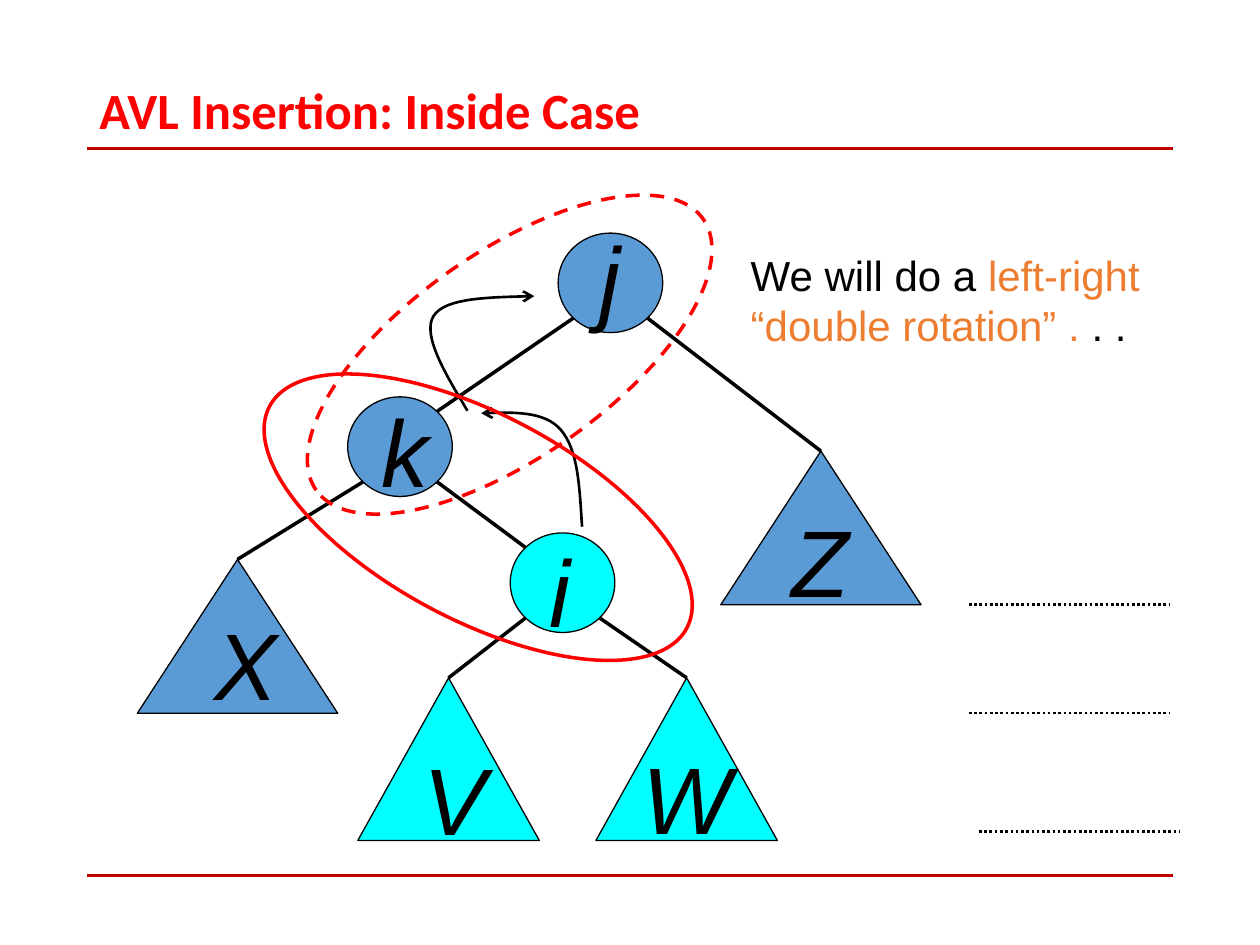
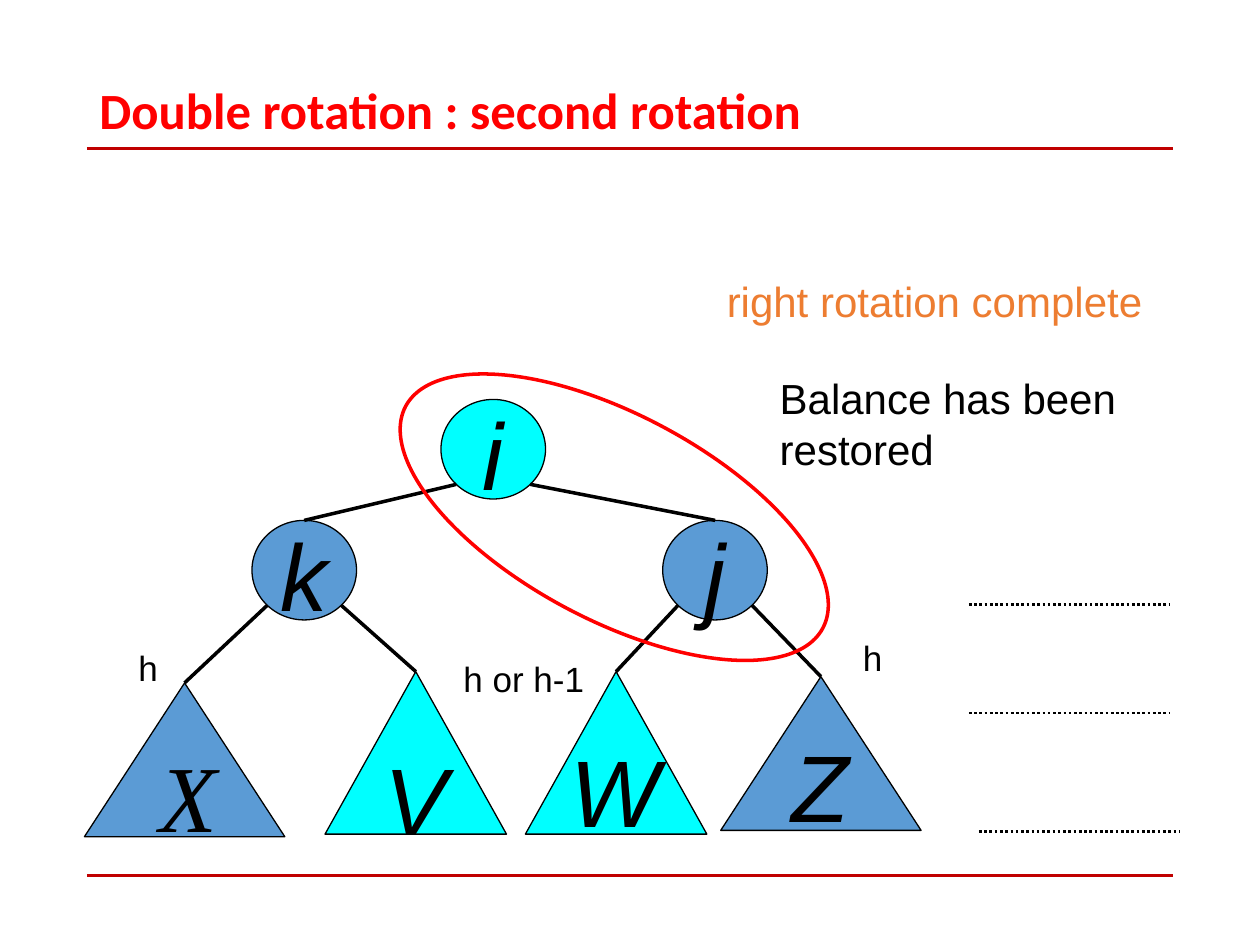
from pptx import Presentation
from pptx import util as u
from pptx.dml.color import RGBColor
from pptx.enum import dml, shapes, text
from pptx.oxml.ns import qn
from lxml import etree

# Shared look
WIDE, HIGH = 10, 7.5
BLUE, CYAN, RED, DARK = "5B9BD5", "00FFFF", "FF0000", "C00000"
BLACK, ORANGE = "000000", "ED7D31"
SIZES = {"node": (.83, .79), "big": (1.59, 1.22), "small": (1.44, 1.29)}
RING = (3.75, 1.63)
BANDS = [1.18, 6.95]
LEVELS = [(7.69, 4.8), (7.69, 5.66), (7.77, 6.6)]
DOT, DASH = dml.MSO_LINE.ROUND_DOT, dml.MSO_LINE.DASH

# Content: parts are name: (kind, colour, left, top, label place, label font);
# a part without a label place carries its label inside.
# Links are (parent, side, child, side); notes are (left, top, width, size, lines).
SLIDES = [
    dict(
        title="AVL Insertion: Inside Case",
        parts={
            "j": ("node", BLUE, 4.43, 1.85, (4.66, 1.64), "Arial"),
            "k": ("node", BLUE, 2.76, 3.15, (2.93, 3.01), "Arial"),
            "X": ("big", BLUE, 1.09, 4.44, (1.6, 4.7), "Arial"),
            "V": ("small", CYAN, 2.84, 5.38, (3.26, 5.77), "Arial"),
            "Z": ("big", BLUE, 5.72, 3.58, (6.18, 3.88), "Arial"),
            "W": ("small", CYAN, 4.73, 5.38, (5, 5.76), "Arial"),
            "i": ("node", CYAN, 4.05, 4.23, (4.26, 4.12), "Arial"),
        },
        links=[("j", "SW", "k", "NE"), ("k", "SW", "X", "N"), ("k", "SE", "i", "NW"),
               ("j", "SE", "Z", "N"), ("i", "SW", "V", "N"), ("i", "SE", "W", "N")],
        notes=[(5.86, 1.93, 3.38, 24, [
            [("We will do a ", BLACK), ("left-right", ORANGE)],
            [("“double rotation” .", ORANGE), (" . .", BLACK)]])],
        curves=[
            [(4.62, 4.18), (4.6, 3.87), (4.59, 3.57), (4.45, 3.41),
             (4.32, 3.26), (4.07, 3.27), (3.82, 3.28)],
            [(3.71, 3.26), (3.53, 2.96), (3.35, 2.66), (3.44, 2.51),
             (3.53, 2.36), (3.89, 2.36), (4.24, 2.35)]],
        rings=[(1.92, 3.29, 28, None), (2.17, 2, 325, DASH)],
    ),
    dict(
        title="Double rotation : second rotation",
        parts={
            "j": ("node", BLUE, 5.26, 4.13, None, "Arial"),
            "k": ("node", BLUE, 2, 4.13, None, "Arial"),
            "X": ("big", BLUE, .67, 5.42, (1.17, 5.75), "Times New Roman"),
            "V": ("small", CYAN, 2.58, 5.33, None, "Arial"),
            "Z": ("big", BLUE, 5.72, 5.37, (6.18, 5.67), "Arial"),
            "W": ("small", CYAN, 4.17, 5.33, (4.43, 5.71), "Arial"),
            "i": ("node", CYAN, 3.5, 3.17, None, "Arial"),
        },
        links=[("k", "SW", "X", "N"), ("k", "SE", "V", "N"), ("j", "SE", "Z", "N"),
               ("j", "SW", "W", "N"), ("i", "SW", "k", "N"), ("i", "SE", "j", "N")],
        notes=[
            (5.67, 2.14, 3.5, 24, [[("right rotation complete", ORANGE)]]),
            (6.09, 2.91, 2.96, 24, [[("Balance has been", BLACK)], [("restored", BLACK)]]),
            (6.75, 5, .36, 20, [[("h", BLACK)]]),
            (1, 5.08, .35, 20, [[("h", BLACK)]]),
            (3.58, 5.17, 1.16, 20, [[("h or h-1", BLACK)]])],
        curves=[],
        rings=[(3, 3.29, 28, None)],
    ),
]


def inch(*vals):
    return [u.Inches(v) for v in vals]


def tint(part, color):
    part.rgb = RGBColor.from_string(color)


def style(font, size, color, name="Arial", bold=False, italic=False):
    font.size, font.name, font.bold, font.italic = u.Pt(size), name, bold, italic
    tint(font.color, color)


def stroke(line, color, width, dash=None):
    tint(line.color, color)
    line.width = u.Pt(width)
    if dash:
        line.dash_style = dash


def paint(shape, fill, color, width, dash=None):
    shape.shadow.inherit = False
    if fill:
        shape.fill.solid()
        tint(shape.fill.fore_color, fill)
    else:
        shape.fill.background()
    stroke(shape.line, color, width, dash)


def rule(slide, start, end, color, width, dash=None):
    line = slide.shapes.add_connector(shapes.MSO_CONNECTOR.STRAIGHT, *inch(*start, *end))
    stroke(line.line, color, width, dash)
    etree.SubElement(line._element.spPr, qn("a:effectLst"))


def box(slide, left, top, width, height, wrap=True):
    frame = slide.shapes.add_textbox(*inch(left, top, width, height)).text_frame
    frame.word_wrap = wrap
    return frame


def letter(frame, name, font):
    frame.text = name
    frame.margin_top = u.Inches(.11)
    style(frame.paragraphs[0].runs[0].font, 54, BLACK, font, italic=True)


def spot(part, side):
    """Point on a part: its top, or a diagonal point of its circle."""
    kind, _, left, top = part[:4]
    wide, high = SIZES[kind]
    if side == "N":
        return left + wide / 2, top
    reach = .5 ** .5
    across = reach if "E" in side else -reach
    down = reach if "S" in side else -reach
    return left + wide / 2 * (1 + across), top + high / 2 * (1 + down)


def draw(slide, name, part):
    kind, fill, left, top, place, font = part
    form = shapes.MSO_SHAPE.OVAL if kind == "node" else shapes.MSO_SHAPE.ISOSCELES_TRIANGLE
    shape = slide.shapes.add_shape(form, *inch(left, top, *SIZES[kind]))
    paint(shape, fill, BLACK, .75)
    if place:
        letter(box(slide, *place, .51, 1), name, font)
        return
    frame = shape.text_frame
    letter(frame, name, font)
    frame.word_wrap = False
    frame.vertical_anchor = text.MSO_ANCHOR.MIDDLE
    frame.paragraphs[0].alignment = text.PP_ALIGN.CENTER


def note(slide, left, top, width, size, lines):
    high = .1 + len(lines) * size / 60
    frame = box(slide, left, top, width, high, wrap=False)
    frame.text = "\n".join("" for _ in lines)
    for para, runs in zip(frame.paragraphs, lines):
        for words, color in runs:
            run = para.add_run()
            run.text = words
            style(run.font, size, color)


def bezier(pts, steps=16):
    """Points along a chain of cubic curves."""
    out = [pts[0]]
    for n in range(0, len(pts) - 1, 3):
        a, b, c, d = pts[n:n + 4]
        for t in (s / steps for s in range(1, steps + 1)):
            r = 1 - t
            out.append(tuple(r**3 * p + 3 * r * r * t * q + 3 * r * t * t * v + t**3 * w
                             for p, q, v, w in zip(a, b, c, d)))
    return out


def arrow(slide, pts):
    first, *rest = [tuple(inch(*p)) for p in bezier(pts)]
    pen = slide.shapes.build_freeform(*first)
    pen.add_line_segments(rest, close=False)
    shape = pen.convert_to_shape()
    paint(shape, None, BLACK, 1.5)
    etree.SubElement(shape.line._get_or_add_ln(), qn("a:tailEnd"), type="arrow")


def base(slide, title):
    for y in BANDS:
        rule(slide, (.69, y), (WIDE - .69, y), DARK, 1.5)
    frame = box(slide, .69, .61, 8.63, .58)
    frame.vertical_anchor = text.MSO_ANCHOR.MIDDLE
    frame.text = title
    para = frame.paragraphs[0]
    para.line_spacing = .9
    style(para.runs[0].font, 29, RED, "Calibri", bold=True)
    for x, y in LEVELS:
        rule(slide, (x, y), (x + 1.59, y), BLACK, 1.5, DOT)


def main():
    deck = Presentation()
    deck.slide_width, deck.slide_height = inch(WIDE, HIGH)
    for data in SLIDES:
        slide = deck.slides.add_slide(deck.slide_layouts[6])
        base(slide, data["title"])
        parts = data["parts"]
        for name, part in parts.items():
            draw(slide, name, part)
        for top, out, low, into in data["links"]:
            rule(slide, spot(parts[top], out), spot(parts[low], into), BLACK, 2)
        for item in data["notes"]:
            note(slide, *item)
        for pts in data["curves"]:
            arrow(slide, pts)
        for left, top, turn, dash in data["rings"]:
            ring = slide.shapes.add_shape(shapes.MSO_SHAPE.OVAL, *inch(left, top, *RING))
            ring.rotation = turn
            paint(ring, None, RED, 2, dash)
    deck.save("out.pptx")


if __name__ == "__main__":
    main()
